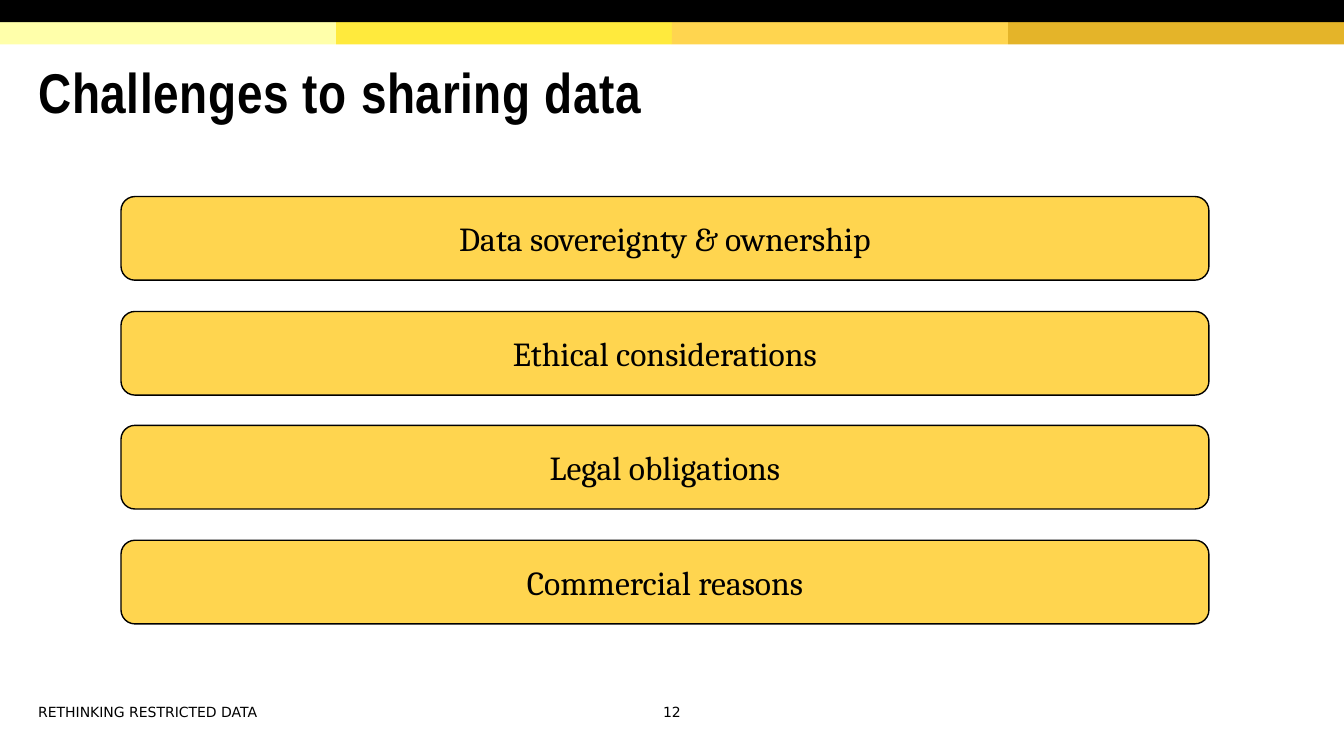
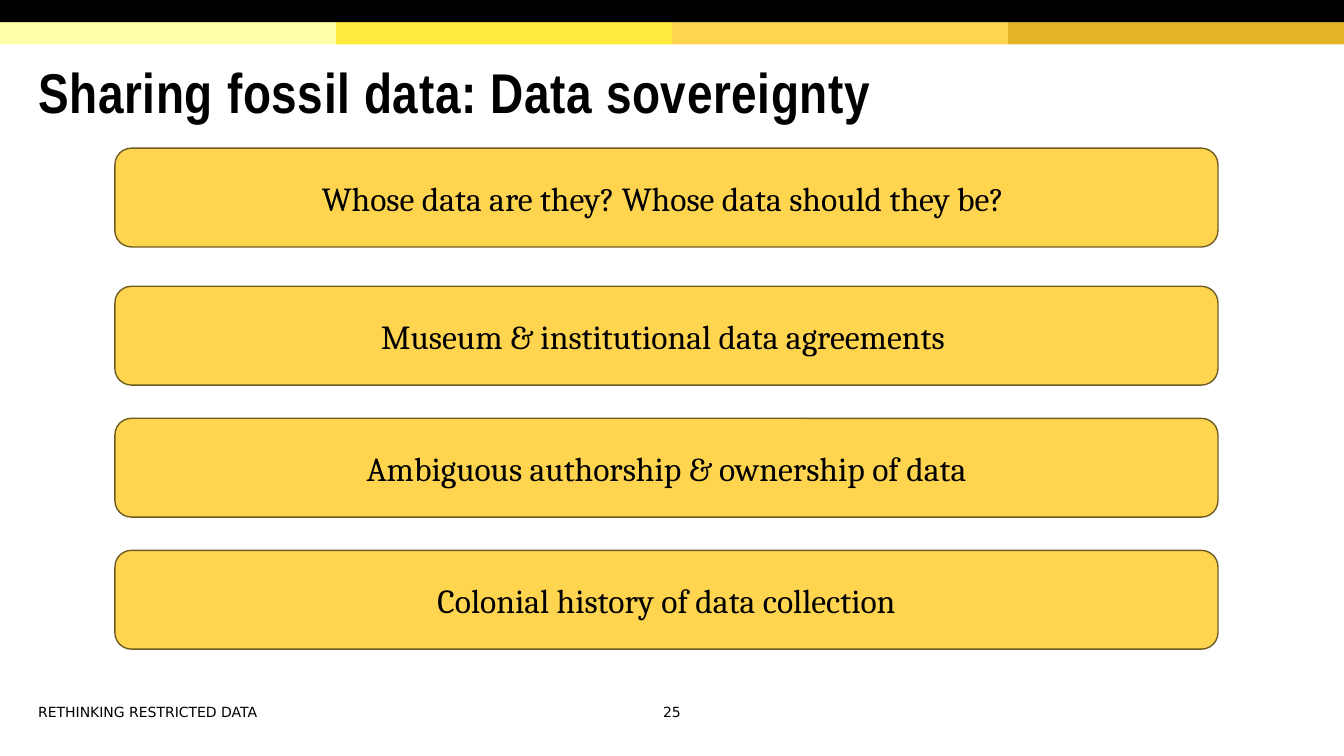
from pptx import Presentation
from pptx.dml.color import RGBColor
from pptx.enum.shapes import MSO_SHAPE
from pptx.enum.text import MSO_ANCHOR, MSO_AUTO_SIZE, PP_ALIGN
from pptx.util import Inches, Pt

RECT, ROUNDED = MSO_SHAPE.RECTANGLE, MSO_SHAPE.ROUNDED_RECTANGLE
LEFT, CENTER = PP_ALIGN.LEFT, PP_ALIGN.CENTER
MIDDLE = MSO_ANCHOR.MIDDLE
NO_AUTOFIT = MSO_AUTO_SIZE.NONE

COLORS = {
    "black": "000000",
    "pale": "FFFFAA",
    "lemon": "FFEA3D",
    "amber": "FFD54F",
    "gold": "E4B429",
    "brown": "705D23",
}
TITLE_FONT, BODY_FONT, FOOTER_FONT = "Arial Narrow", "Cambria", "DejaVu Sans"
SLIDE_W, SLIDE_H = 13.33, 7.5
BAND_H = 0.22
STRIPES = ["pale", "lemon", "amber", "gold"]
FOOTER = "RETHINKING RESTRICTED DATA"

# Each slide: title, page number, and its column of boxes
SLIDES = [
    {
        "title": "Challenges to sharing data",
        "page": "12",
        "left": 1.2, "width": 10.79, "height": 0.83, "line": "black",
        "boxes": [
            (1.95, "Data sovereignty & ownership"),
            (3.09, "Ethical considerations"),
            (4.22, "Legal obligations"),
            (5.36, "Commercial reasons"),
        ],
    },
    {
        "title": "Sharing fossil data: Data sovereignty",
        "page": "25",
        "left": 1.14, "width": 10.94, "height": 0.98, "line": "brown",
        "boxes": [
            (1.47, "Whose data are they? Whose data should they be? "),
            (2.84, "Museum & institutional data agreements "),
            (4.15, "Ambiguous authorship & ownership of data"),
            (5.46, "Colonial history of data collection"),
        ],
    },
]


def add_box(s, shape, x, y, w, h, fill, line=None):
    sp = s.shapes.add_shape(shape, Inches(x), Inches(y), Inches(w), Inches(h))
    sp.shadow.inherit = False
    sp.fill.solid()
    sp.fill.fore_color.rgb = RGBColor.from_string(COLORS[fill])
    if line:
        sp.line.color.rgb = RGBColor.from_string(COLORS[line])
        sp.line.width = Pt(1)
    else:
        sp.line.fill.background()
    return sp


def set_text(sp, text, font, size, align):
    tf = sp.text_frame
    tf.text = text
    tf.word_wrap = True
    tf.auto_size = NO_AUTOFIT
    tf.vertical_anchor = MIDDLE
    p = tf.paragraphs[0]
    p.alignment = align
    r = p.runs[0]
    r.font.name = font
    r.font.size = Pt(size)
    r.font.color.rgb = RGBColor.from_string(COLORS["black"])
    return p


prs = Presentation()
prs.slide_width, prs.slide_height = Inches(SLIDE_W), Inches(SLIDE_H)
title_only = prs.slide_layouts[5]

for page in SLIDES:
    s = prs.slides.add_slide(title_only)

    # Black band over four coloured stripes
    stripe_w = SLIDE_W / len(STRIPES)
    for i, color in enumerate(STRIPES):
        add_box(s, RECT, i * stripe_w, BAND_H, stripe_w, BAND_H, color)
    add_box(s, RECT, 0, 0, SLIDE_W, BAND_H, "black")

    # Title
    title = s.shapes.title
    title.left, title.top = Inches(0.28), Inches(0.47)
    title.width, title.height = Inches(12.65), Inches(0.98)
    p = set_text(title, page["title"], TITLE_FONT, 40, LEFT)
    p.line_spacing = 0.85
    r = p.runs[0]
    r.font.bold = True
    r._r.get_or_add_rPr().set("spc", "50")

    # Footer and page number
    for x, w, text, align in [(0.28, 5.72, FOOTER, LEFT),
                              (6.11, 1.11, page["page"], CENTER)]:
        sp = s.shapes.add_textbox(Inches(x), Inches(6.93), Inches(w), Inches(0.27))
        set_text(sp, text, FOOTER_FONT, 10, align)

    # Column of rounded boxes
    for top, text in page["boxes"]:
        sp = add_box(s, ROUNDED, page["left"], top, page["width"],
                     page["height"], "amber", page["line"])
        set_text(sp, text, BODY_FONT, 24, CENTER)

prs.save("out.pptx")
